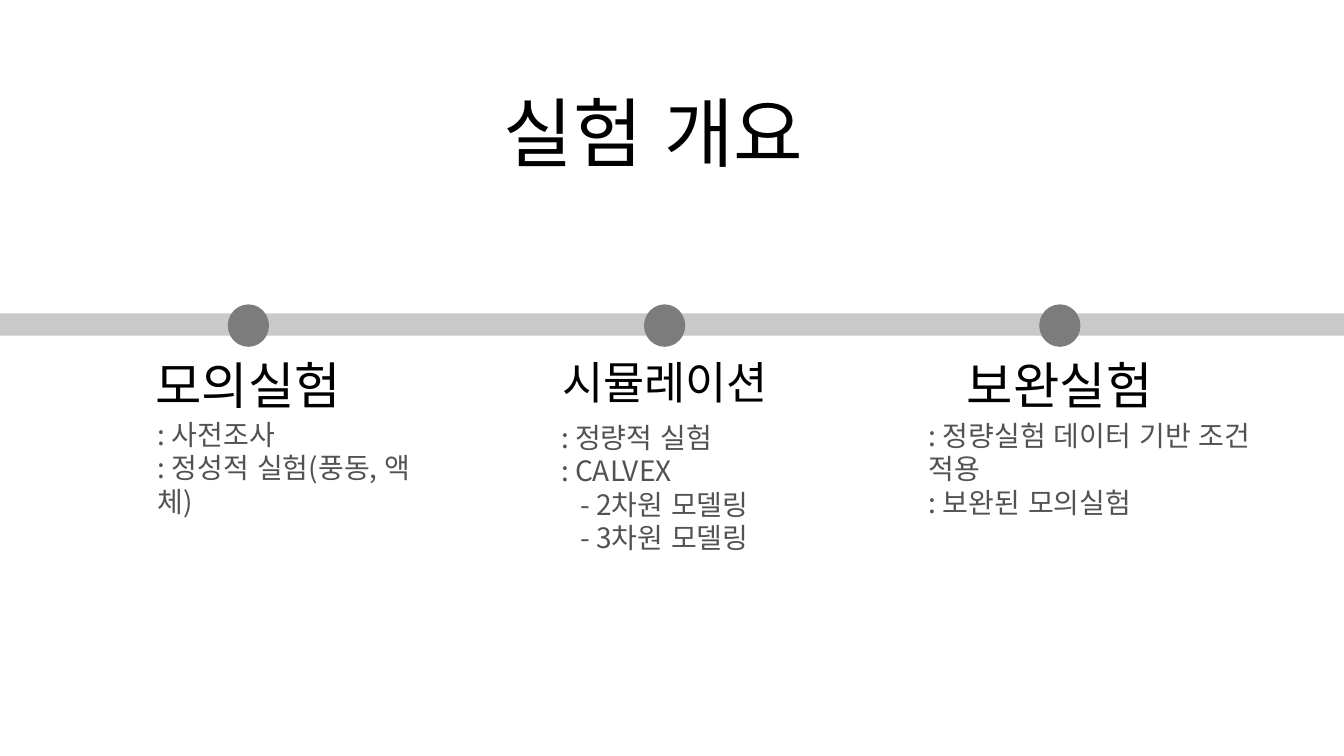
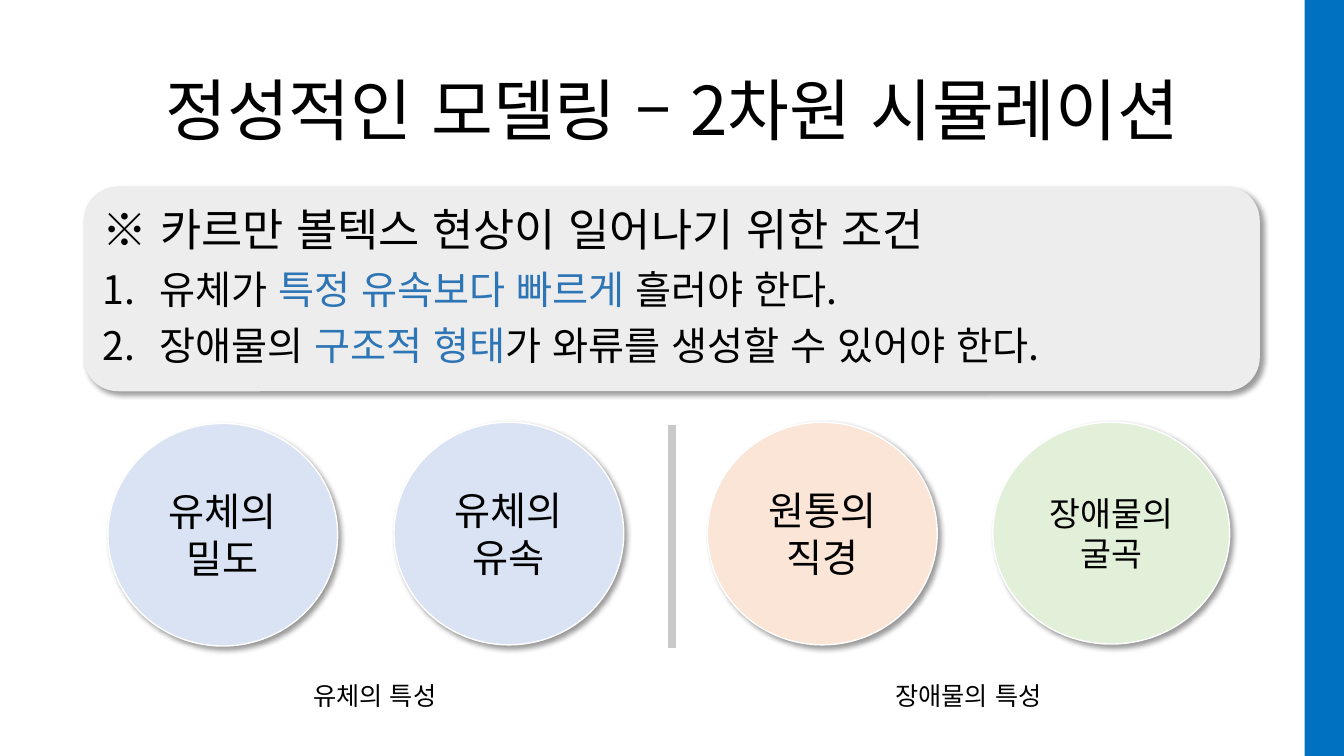
from lxml import etree
from pptx import Presentation
from pptx import util as u
from pptx.dml.color import RGBColor
from pptx.enum import lang, shapes, text
from pptx.oxml import ns

FONT = "Noto Sans CJK KR"
KOREAN = lang.MSO_LANGUAGE_ID.KOREAN
BLACK = RGBColor(0x00, 0x00, 0x00)
WHITE = RGBColor(0xFF, 0xFF, 0xFF)
DARK_GRAY = RGBColor(0x52, 0x52, 0x52)
DOT_GRAY = RGBColor(0x7C, 0x7C, 0x7C)
LINE_GRAY = RGBColor(0xC9, 0xC9, 0xC9)
PANEL_GRAY = RGBColor(0xED, 0xED, 0xED)
ACCENT_BLUE = RGBColor(0x2E, 0x75, 0xB6)
BAND_BLUE = RGBColor(0x00, 0x70, 0xC0)
PALE_BLUE = RGBColor(0xDA, 0xE3, 0xF3)
PALE_ORANGE = RGBColor(0xFB, 0xE5, 0xD6)
PALE_GREEN = RGBColor(0xE2, 0xF0, 0xD9)

SLIDE_W, SLIDE_H = 33.87, 19.05
LEFT, CENTER = text.PP_ALIGN.LEFT, text.PP_ALIGN.CENTER
MIDDLE = text.MSO_ANCHOR.MIDDLE
SHAPE = shapes.MSO_SHAPE


def cm(*values):
    return [u.Cm(v) for v in values]


def set_attrs(obj, formats):
    for name, value in formats.items():
        setattr(obj, name, value)


def sub(parent, tag, **attrs):
    return etree.SubElement(parent, ns.qn(tag), attrs)


# Text
def add_run(p, content, size, color):
    r = p.add_run()
    r.text = content
    set_attrs(r.font, {"name": FONT, "size": u.Pt(size),
                       "language_id": KOREAN})
    r.font.color.rgb = color
    sub(r._r.get_or_add_rPr(), "a:ea", typeface=FONT)


def write(tf, paragraphs, size, color=BLACK, **formats):
    """Write one paragraph for each string."""
    tf.word_wrap = True
    for i, content in enumerate(paragraphs):
        p = tf.add_paragraph() if i else tf.paragraphs[0]
        set_attrs(p, formats)
        add_run(p, content, size, color)


def add_text(s, box, paragraphs, size, color=BLACK, **formats):
    tf = s.shapes.add_textbox(*cm(*box)).text_frame
    write(tf, paragraphs, size, color, **formats)
    return tf


def add_title(s, box, title, size, alignment):
    tf = add_text(s, box, [title], size, alignment=alignment, line_spacing=0.9)
    tf.vertical_anchor = MIDDLE


def indent(p, left, first=0):
    pPr = p._p.get_or_add_pPr()
    pPr.set("marL", str(u.Cm(left)))
    pPr.set("indent", str(u.Cm(first)))
    return pPr


# Shapes
def add_shape(s, kind, box, fill, line=None, shadow=False):
    sp = s.shapes.add_shape(kind, *cm(*box))
    sp.shadow.inherit = False
    sp.fill.solid()
    sp.fill.fore_color.rgb = fill
    if line is None:
        sp.line.fill.background()
    else:
        sp.line.color.rgb = line
        sp.line.width = u.Pt(1)
    if shadow:
        effects = sp._element.spPr.find(ns.qn("a:effectLst"))
        outer = sub(effects, "a:outerShdw", blurRad=str(u.Pt(4)),
                    dist=str(u.Pt(3)), dir="2700000", algn="tl",
                    rotWithShape="0")
        sub(sub(outer, "a:srgbClr", val=str(BLACK)), "a:alpha", val="40000")
    return sp


def add_circle(s, box, fill, lines, size):
    sp = add_shape(s, SHAPE.OVAL, box, fill, WHITE, shadow=True)
    sp.text_frame.vertical_anchor = MIDDLE
    write(sp.text_frame, lines, size, alignment=CENTER)


def add_divider(s, x, top, bottom):
    line = s.shapes.add_connector(shapes.MSO_CONNECTOR.STRAIGHT,
                                  *cm(x, top, x, bottom))
    line.line.color.rgb = LINE_GRAY
    line.line.width = u.Pt(6)
    sub(line._element.spPr, "a:effectLst")


def add_step(s, dot_x, heading, heading_box, size, details, details_box):
    add_shape(s, SHAPE.OVAL, (dot_x, 7.67, 1.04, 1.07), DOT_GRAY)
    add_text(s, heading_box, [heading], size, alignment=CENTER)
    tf = add_text(s, details_box, details, 20, DARK_GRAY)
    for p in tf.paragraphs:
        if p.text.startswith("-"):
            indent(p, 0.48)


# Slides
def build_overview(s):
    add_title(s, (12.45, 1.6, 8.97, 3.68), "실험 개요", 54, LEFT)
    add_shape(s, SHAPE.RECTANGLE, (0, 7.9, SLIDE_W, 0.56), LINE_GRAY)
    steps = [
        (5.74, "모의실험", (3.45, 8.79, 5.61, 1.8), 36,
         [": 사전조사", ": 정성적 실험(풍동, 액체)"],
         (3.73, 10.39, 7.59, 1.96)),
        (16.23, "시뮬레이션", (13.54, 8.81, 6.45, 1.63), 32,
         [": 정량적 실험", ": CALVEX", "- 2차원 모델링", "- 3차원 모델링"],
         (13.89, 10.46, 7.59, 3.68)),
        (26.19, "보완실험", (23.9, 8.79, 5.61, 1.8), 36,
         [": 정량실험 데이터 기반 조건 적용", ": 보완된 모의실험"],
         (23.16, 10.41, 9.8, 1.96)),
    ]
    for step in steps:
        add_step(s, *step)


def add_conditions(s):
    add_shape(s, SHAPE.ROUNDED_RECTANGLE, (2.11, 4.7, 29.64, 5.16),
              PANEL_GRAY, shadow=True)
    box = (2.34, 5.11, 29.21, 4.42)
    tf = add_text(s, box, ["※ 카르만 볼텍스 현상이 일어나기 위한 조건"], 32,
                  line_spacing=0.9)
    conditions = [
        [("유체가 ", BLACK), ("특정 유속보다 빠르게 ", ACCENT_BLUE),
         ("흘러야 한다.", BLACK)],
        [("장애물의 ", BLACK), ("구조적 형태", ACCENT_BLUE),
         ("가 와류를 생성할 수 있어야 한다.", BLACK)],
    ]
    for runs in conditions:
        p = tf.add_paragraph()
        pPr = indent(p, 1.43, -1.43)
        sub(pPr, "a:buFont", typeface=FONT)
        sub(pPr, "a:buAutoNum", type="arabicPeriod")
        set_attrs(p, {"line_spacing": 0.9, "space_before": u.Pt(10)})
        for content, color in runs:
            add_run(p, content, 28, color)


def build_modeling(s):
    add_conditions(s)
    add_title(s, (2.34, 1.02, 29.21, 3.68),
              "정성적인 모델링 – 2차원 시뮬레이션", 48, CENTER)
    circles = [
        ((2.72, 10.67, 5.79, 5.61), PALE_BLUE, ["유체의 밀도"], 28),
        ((9.93, 10.64, 5.79, 5.61), PALE_BLUE, ["유체의 유속"], 28),
        ((17.83, 10.64, 5.79, 5.61), PALE_ORANGE, ["원통의 직경"], 28),
        ((25.02, 10.64, 5.97, 5.59), PALE_GREEN, ["장애물의", "굴곡"], 24),
    ]
    for circle in circles:
        add_circle(s, *circle)
    for x, caption in ((6.93, "유체의 특성"), (21.89, "장애물의 특성")):
        add_text(s, (x, 17.02, 5.03, 1.02), [caption], 18, alignment=CENTER)
    add_shape(s, SHAPE.RECTANGLE, (32.88, 0, SLIDE_W - 32.88, SLIDE_H),
              BAND_BLUE)
    add_divider(s, SLIDE_W / 2, 10.72, 16.33)


def main():
    prs = Presentation()
    prs.slide_width, prs.slide_height = cm(SLIDE_W, SLIDE_H)
    for build in (build_overview, build_modeling):
        build(prs.slides.add_slide(prs.slide_layouts[6]))
    prs.save("out.pptx")


if __name__ == "__main__":
    main()
